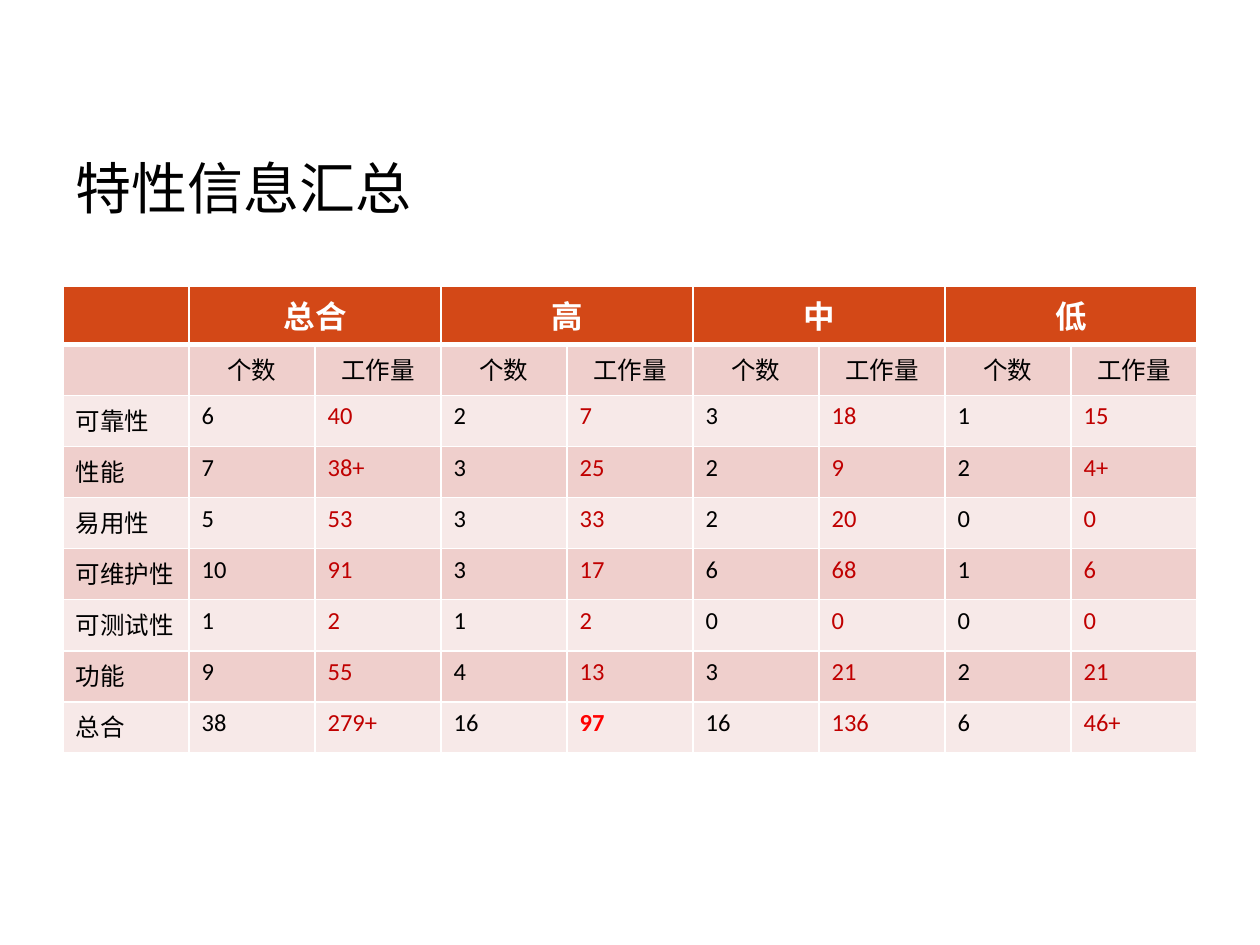
import pptx
import pptx.dml.color
import pptx.enum.text
import pptx.oxml
import pptx.util
from dataclasses import dataclass

Pt = pptx.util.Pt
ALIGN = pptx.enum.text.PP_ALIGN

TITLE = "特性信息汇总"
GROUPS = ["总合", "高", "中", "低"]
MEASURES = ["个数", "工作量"]
ROWS = [
    ("可靠性", "6", "40", "2", "7", "3", "18", "1", "15"),
    ("性能", "7", "38+", "3", "25", "2", "9", "2", "4+"),
    ("易用性", "5", "53", "3", "33", "2", "20", "0", "0"),
    ("可维护性", "10", "91", "3", "17", "6", "68", "1", "6"),
    ("可测试性", "1", "2", "1", "2", "0", "0", "0", "0"),
    ("功能", "9", "55", "4", "13", "3", "21", "2", "21"),
    ("总合", "38", "279+", "16", "97", "16", "136", "6", "46+"),
]
HIGHLIGHT = (8, 4)  # total workload of the high-priority features


@dataclass(frozen=True)
class Theme:
    title_font: str = "Arial"
    table_font: str = "Calibri"
    title_size: int = 32
    header_size: int = 18
    body_size: int = 14
    text: str = "000000"
    white: str = "FFFFFF"
    workload: str = "C00000"
    highlight: str = "FF0000"
    header: str = "D34817"
    bands: tuple = ("F7E9E8", "EFCFCC")


THEME = Theme()
LEFT, WIDTH = 36, 648
TITLE_TOP, TITLE_HEIGHT = 62, 90
TABLE_TOP, ROW_HEIGHT = 163.44, 29.2


def rgb(value):
    return pptx.dml.color.RGBColor.from_string(value)


def set_font(para, name, size, color, bold=False):
    font = para.font
    font.name, font.size, font.bold = name, Pt(size), bold
    font.color.rgb = rgb(color)


def set_borders(cell, top, bottom):
    """Draw white cell edges, with top and bottom widths in points."""
    properties = cell._tc.get_or_add_tcPr()
    for side, width in (("L", 1), ("R", 1), ("T", top), ("B", bottom)):
        properties.append(pptx.oxml.parse_xml(
            f'<a:ln{side} xmlns:a="http://schemas.openxmlformats.org/drawingml/2006/main"'
            f' w="{Pt(width)}"><a:solidFill><a:srgbClr val="{THEME.white}"/>'
            f'</a:solidFill></a:ln{side}>'))


def text_color(row, column):
    if row == 0:
        return THEME.white
    if (row, column) == HIGHLIGHT:
        return THEME.highlight
    is_workload = row > 1 and column > 0 and column % 2 == 0
    return THEME.workload if is_workload else THEME.text


def format_cell(cell, row, column, text):
    is_header = row == 0
    set_borders(cell, top=3 if row == 1 else 1, bottom=3 if is_header else 1)
    cell.fill.solid()
    cell.fill.fore_color.rgb = rgb(THEME.header if is_header else THEME.bands[row % 2])
    cell.text = text
    para = cell.text_frame.paragraphs[0]
    para.alignment = ALIGN.CENTER if row < 2 else ALIGN.LEFT
    set_font(para, THEME.table_font,
             THEME.header_size if is_header else THEME.body_size,
             text_color(row, column), is_header or (row, column) == HIGHLIGHT)


def add_title(page):
    title = page.shapes.title
    title.left, title.top = Pt(LEFT), Pt(TITLE_TOP)
    title.width, title.height = Pt(WIDTH), Pt(TITLE_HEIGHT)
    title.text = TITLE
    title.text_frame.vertical_anchor = pptx.enum.text.MSO_ANCHOR.MIDDLE
    para = title.text_frame.paragraphs[0]
    para.alignment = ALIGN.LEFT
    set_font(para, THEME.title_font, THEME.title_size, THEME.text)


def add_summary_table(page):
    header = [""] + [text for group in GROUPS for text in (group, "")]
    content = [header, [""] + MEASURES * len(GROUPS), *ROWS]
    table = page.shapes.add_table(
        len(content), len(header), Pt(LEFT), Pt(TABLE_TOP),
        Pt(WIDTH), Pt(ROW_HEIGHT * len(content))).table
    for row, texts in enumerate(content):
        table.rows[row].height = Pt(ROW_HEIGHT)
        for column, text in enumerate(texts):
            format_cell(table.cell(row, column), row, column, text)
    for column in range(1, len(header), len(MEASURES)):
        table.cell(0, column).merge(table.cell(0, column + len(MEASURES) - 1))


def main():
    deck = pptx.Presentation()
    deck.slide_width, deck.slide_height = Pt(720), Pt(540)
    page = deck.slides.add_slide(deck.slide_layouts[5])
    add_title(page)
    add_summary_table(page)
    deck.save("out.pptx")


if __name__ == "__main__":
    main()
